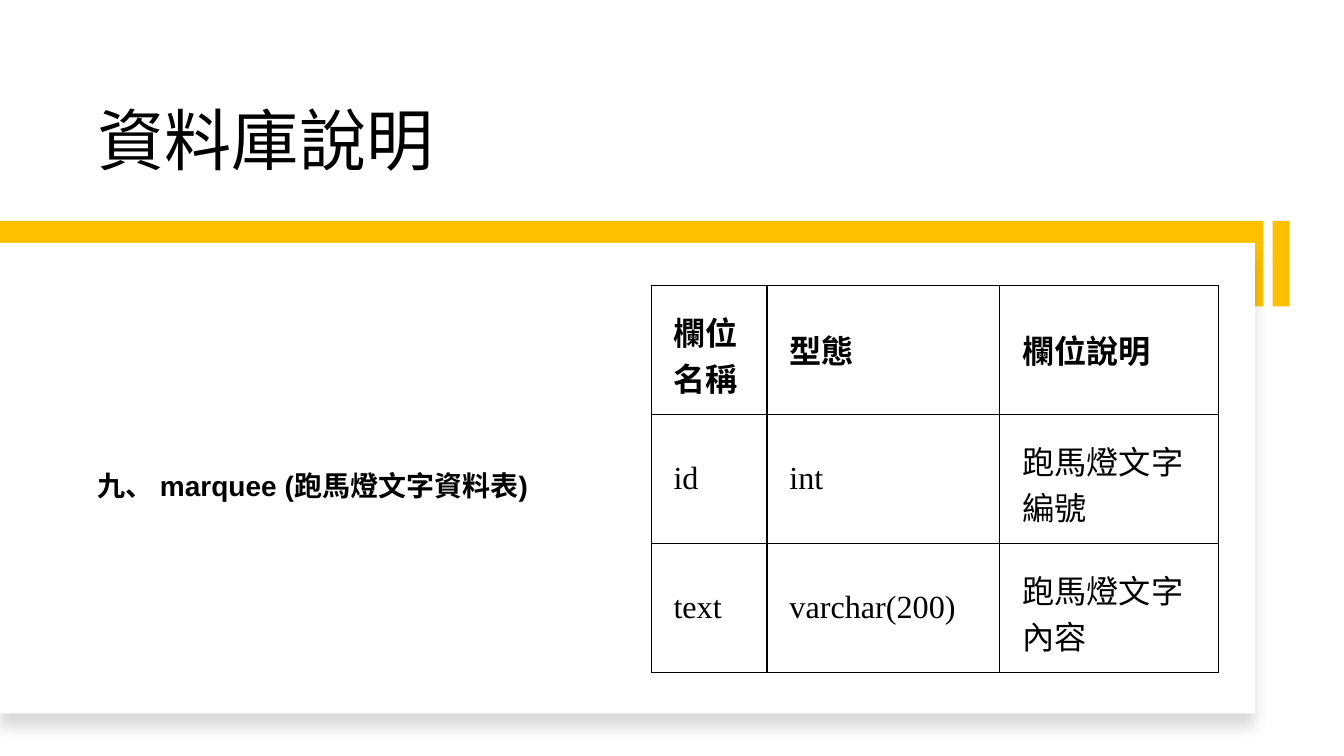
from lxml import etree
from pptx import Presentation
from pptx import util as u
from pptx.dml import color
from pptx.enum import shapes, text
from pptx.oxml import ns

GOLD, WHITE, BLACK = "FFC000", "FFFFFF", "000000"
HEADER = ["欄位名稱", "型態", "欄位說明"]
FIELDS = [["id", "int", "跑馬燈文字編號"], ["text", "varchar(200)", "跑馬燈文字內容"]]


def rgb(value):
    """Turn a hex string into a colour."""
    return color.RGBColor.from_string(value)


def add_element(parent, tag, **attributes):
    """Append a drawing element with attributes."""
    element = etree.SubElement(parent, ns.qn(tag))
    for name, value in attributes.items():
        element.set(name, str(value))
    return element


def write_text(frame, content, size, font="Arial", bold=False, spacing=None, before=0):
    """Write one formatted paragraph into a text frame."""
    frame.word_wrap = True
    paragraph = frame.paragraphs[0]
    paragraph.space_before = u.Pt(before)
    if spacing:
        paragraph.line_spacing = spacing
    run = paragraph.add_run()
    run.text = content
    run.font.size = u.Pt(size)
    run.font.name = font
    run.font.bold = bold
    run.font.color.rgb = rgb(BLACK)


def add_label(slide, box, content, anchor, **style):
    """Add a wrapped text box filling the given box."""
    frame = slide.shapes.add_textbox(*map(u.Pt, box)).text_frame
    frame.vertical_anchor = anchor
    write_text(frame, content, spacing=0.9, **style)


def add_block(slide, box, fill):
    """Add a plain filled rectangle."""
    shape = slide.shapes.add_shape(shapes.MSO_SHAPE.RECTANGLE, *map(u.Pt, box))
    shape.shadow.inherit = False
    shape.fill.solid()
    shape.fill.fore_color.rgb = rgb(fill)
    shape.line.fill.background()
    return shape


def add_backdrop(slide, box):
    """Draw the gold band, its end bar and the white card in the box."""
    left, top, width, height = box
    band_height, bar_width = 61.2, 12.2
    add_block(slide, (left, top, width - 25.6, band_height), GOLD)
    card = add_block(slide, (left, top + 15.8, width - 31.4, height - 15.8), WHITE)
    effects = card.element.spPr.find(ns.qn("a:effectLst"))
    shadow = add_element(effects, "a:outerShdw", blurRad=u.Pt(11), dist=u.Pt(10),
                         dir=90 * 60000, algn="t", rotWithShape=0)
    shade = add_element(shadow, "a:srgbClr", val=BLACK)
    add_element(shade, "a:alpha", val=15000)
    add_block(slide, (left + width - 6.6 - bar_width, top, bar_width, band_height), GOLD)


def add_borders(cell):
    """Draw a thin black line on every side of a cell."""
    properties = cell._tc.get_or_add_tcPr()
    for position, side in enumerate(("a:lnL", "a:lnR", "a:lnT", "a:lnB")):
        line = add_element(properties, side, w=u.Pt(1))
        fill = add_element(line, "a:solidFill")
        add_element(fill, "a:srgbClr", val=BLACK)
        properties.insert(position, line)


def add_field_table(slide, box):
    """Add the table of database fields in the box."""
    rows = [HEADER] + FIELDS
    table = slide.shapes.add_table(len(rows), len(HEADER), *map(u.Pt, box)).table
    table.horz_banding = False
    for column, width in zip(table.columns, (82.8, 166.3, 156.2)):
        column.width = u.Pt(width)
    for row_index, row in enumerate(rows):
        for column_index, content in enumerate(row):
            cell = table.cell(row_index, column_index)
            cell.fill.background()
            cell.vertical_anchor = text.MSO_ANCHOR.MIDDLE
            cell.margin_left = cell.margin_right = u.Pt(16)
            cell.margin_top = cell.margin_bottom = u.Pt(16)
            font = "Times New Roman" if content.isascii() else "Arial"
            write_text(cell.text_frame, content, size=23, font=font, bold=row_index == 0)
            add_borders(cell)


def build_table_slide(presentation):
    """Build the slide that describes one database table."""
    slide = presentation.slides.add_slide(presentation.slide_layouts[6])
    add_backdrop(slide, (0, 157.7, 927.8, 352))
    add_label(slide, (62.6, 30.2, 792.7, 102.2), "資料庫說明",
              text.MSO_ANCHOR.BOTTOM, size=48)
    add_label(slide, (62.6, 204.5, 357.1, 286.6), "九、 marquee (跑馬燈文字資料表)",
              text.MSO_ANCHOR.MIDDLE, size=20, bold=True, before=10)
    add_field_table(slide, (465.1, 203.8, 405.3, 276.5))


def main():
    """Create the presentation and save it."""
    presentation = Presentation()
    presentation.slide_width, presentation.slide_height = u.Pt(960), u.Pt(540)
    build_table_slide(presentation)
    presentation.save("out.pptx")


if __name__ == "__main__":
    main()
